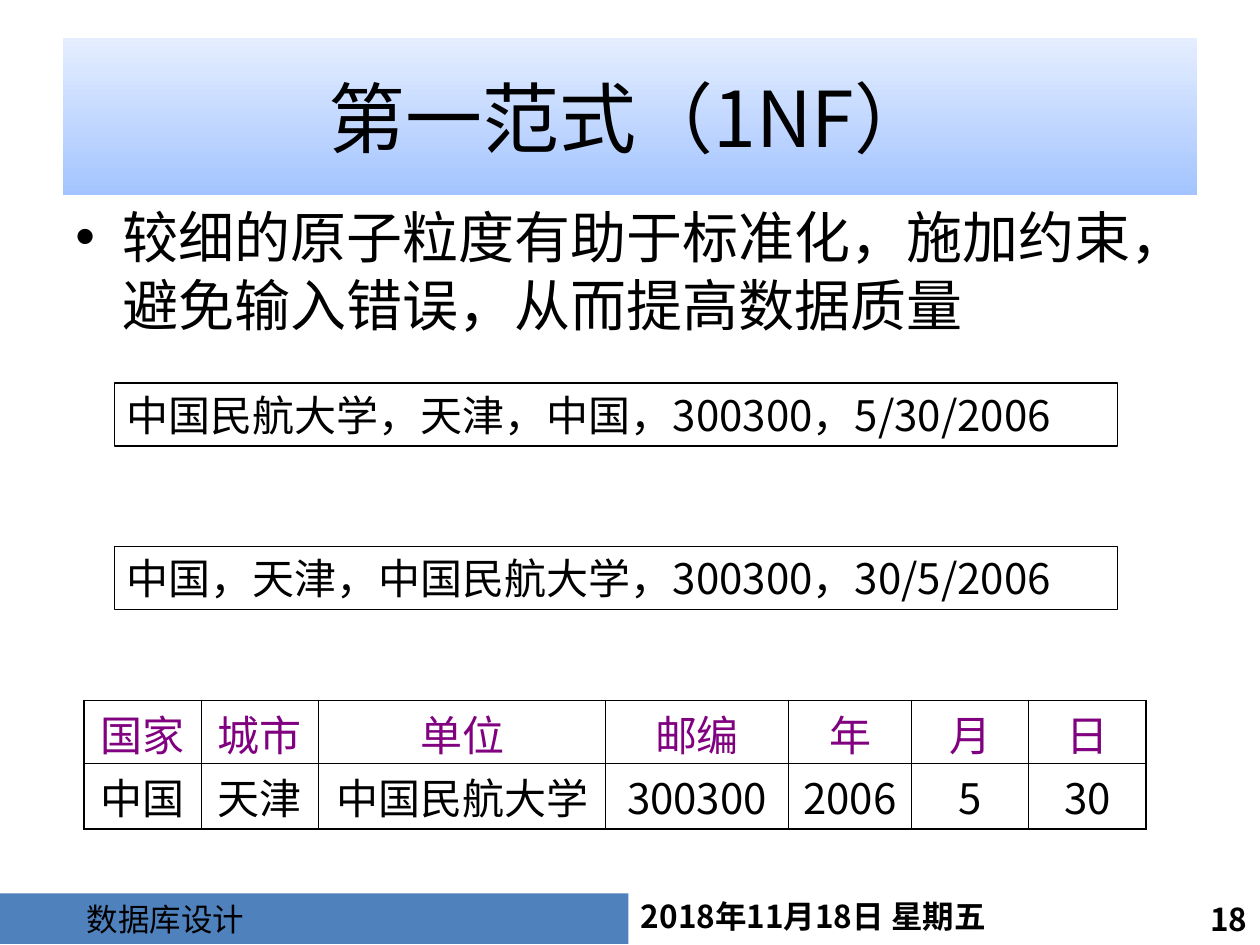
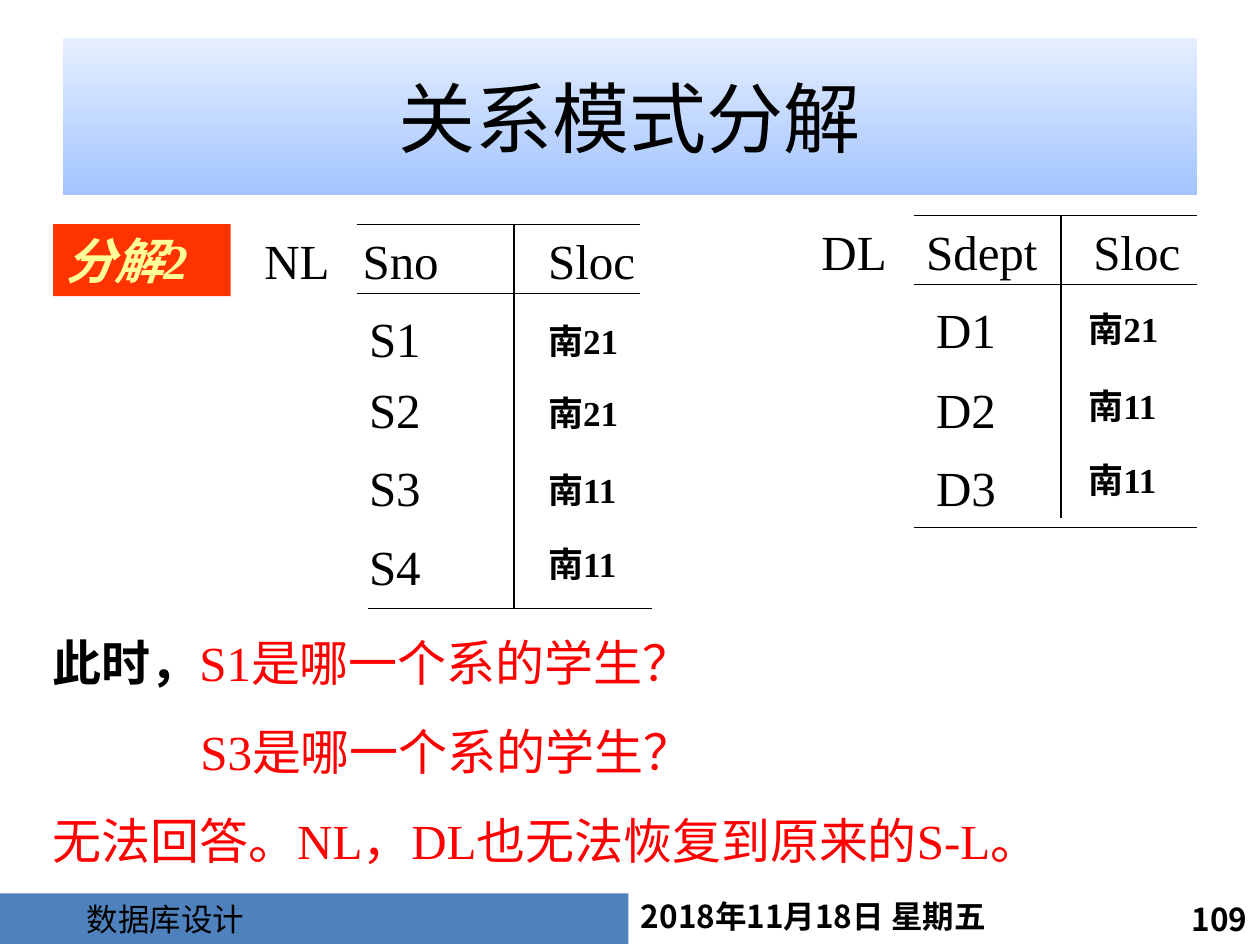
from lxml import etree
from pptx import Presentation
from pptx.dml.color import RGBColor
from pptx.enum.shapes import MSO_CONNECTOR, MSO_SHAPE
from pptx.enum.text import MSO_ANCHOR, PP_ALIGN
from pptx.oxml.ns import qn
from pptx.util import Cm, Pt

RECTANGLE = MSO_SHAPE.RECTANGLE
STRAIGHT = MSO_CONNECTOR.STRAIGHT
TOP, MIDDLE = MSO_ANCHOR.TOP, MSO_ANCHOR.MIDDLE
LEFT, CENTER, RIGHT = PP_ALIGN.LEFT, PP_ALIGN.CENTER, PP_ALIGN.RIGHT

SANS, SANS_JP = "Noto Sans CJK SC", "Noto Sans CJK JP"
SERIF, LATO = "Times New Roman", "Lato"
BLACK, WHITE, RED, PURPLE = "000000", "FFFFFF", "FF0000", "800080"
BAND_BLUE, TITLE_DARK, TITLE_LIGHT = "4F81BD", "A3C4FF", "E5EEFF"
LABEL_RED, LABEL_YELLOW = "FF3300", "FFFF99"
rgb = RGBColor.from_string


def add_box(page, left, top, width, height, fill=None, line=None):
    """Add a text box, or a rectangle if filled or outlined; return its frame."""
    area = Cm(left), Cm(top), Cm(width), Cm(height)
    if fill or line:
        box = page.shapes.add_shape(RECTANGLE, *area)
        box.shadow.inherit = False
        if fill:
            box.fill.solid()
            box.fill.fore_color.rgb = rgb(fill)
        else:
            box.fill.background()
        if line:
            box.line.color.rgb = rgb(line)
            box.line.width = Pt(0.75)
        else:
            box.line.fill.background()
    else:
        box = page.shapes.add_textbox(*area)
    frame = box.text_frame
    frame.word_wrap = True
    frame.vertical_anchor = TOP
    return frame


def write(para, text, size=28, font=SERIF, color=BLACK, bold=False,
          italic=False, align=LEFT, pitch=None):
    """Append a run to the paragraph; pitch is the line height in points."""
    para.alignment = align
    if pitch:
        para.line_spacing = Pt(pitch)
    span = para.add_run()
    span.text = text
    span.font.name = font
    span.font.size = Pt(size)
    span.font.bold = bold
    span.font.italic = italic
    span.font.color.rgb = rgb(color)


deck = Presentation()
deck.slide_width, deck.slide_height = Cm(25.4), Cm(19.05)

# Shared title band and footer
pages = []
for title_text, number in (("第一范式（1NF）", "18"), ("关系模式分解", "109")):
    page = deck.slides.add_slide(deck.slide_layouts[5])
    pages.append(page)

    title = page.shapes.title
    title.left, title.top, title.width, title.height = Cm(1.27), Cm(0.76), Cm(22.86), Cm(3.18)
    title.fill.gradient()
    title.fill.gradient_angle = 90
    for stop, color in zip(title.fill.gradient_stops, (TITLE_DARK, TITLE_LIGHT)):
        stop.color.rgb = rgb(color)
    title.text_frame.vertical_anchor = MIDDLE
    write(title.text_frame.paragraphs[0], title_text, size=44, font=SANS, align=CENTER)

    date = add_box(page, 12.67, 17.96, 9.04, 1.02)
    write(date.paragraphs[0], "2018年11月18日 星期五", size=18, font=SANS, bold=True)
    page_number = add_box(page, 22.1, 18.01, 3.3, 1.17)
    write(page_number.paragraphs[0], number, size=18, font=SANS, bold=True, align=RIGHT)
    course = add_box(page, 0, 18.01, 12.67, 1.02, fill=BAND_BLUE)
    course.margin_left = Cm(1.75)
    write(course.paragraphs[0], "数据库设计", size=18, font=SANS_JP)

normal_form_page, split_page = pages

# First normal form: bullet, two records, atomic table
para = add_box(normal_form_page, 1.27, 3.94, 22.86, 3).paragraphs[0]
properties = para._p.get_or_add_pPr()
properties.set("marL", str(Cm(0.95)))
properties.set("indent", str(-Cm(0.95)))
etree.SubElement(properties, qn("a:buFont"), typeface="Arial")
etree.SubElement(properties, qn("a:buChar"), char="•")
write(para, "较细的原子粒度有助于标准化，施加约束，避免输入错误，从而提高数据质量",
      size=32, pitch=38.8)

records = (
    (7.72, "中国民航大学，天津，中国，300300，5/30/2006"),
    (11.02, "中国，天津，中国民航大学，300300，30/5/2006"),
)
for top, record in records:
    frame = add_box(normal_form_page, 2.31, top, 20.22, 1.27, line=BLACK)
    write(frame.paragraphs[0], record, size=24, font=SANS_JP, pitch=28.8)

address_rows = (
    ("国家", "城市", "单位", "邮编", "年", "月", "日"),
    ("中国", "天津", "中国民航大学", "300300", "2006", "5", "30"),
)
column_widths = (2.36, 2.36, 5.79, 3.68, 2.49, 2.36, 2.36)
row_heights = (1.27, 1.32)
row_styles = ((LATO, PURPLE), (SANS_JP, BLACK))
last_row, last_column = len(row_heights) - 1, len(column_widths) - 1
table = normal_form_page.shapes.add_table(
    len(row_heights), len(column_widths), Cm(1.7), Cm(14.12),
    Cm(sum(column_widths)), Cm(sum(row_heights))).table
table.first_row = table.horz_banding = False
for column, width in zip(table.columns, column_widths):
    column.width = Cm(width)
for r, (values, height, (font, color)) in enumerate(zip(address_rows, row_heights, row_styles)):
    table.rows[r].height = Cm(height)
    for c, value in enumerate(values):
        cell = table.cell(r, c)
        cell.margin_left = cell.margin_right = cell.margin_bottom = 0
        cell.margin_top = Cm(0.25)
        write(cell.text_frame.paragraphs[0], value, size=24, font=font, color=color,
              align=CENTER, pitch=28.8)
        outer_sides = {"L": c == 0, "R": c == last_column, "T": r == 0, "B": r == last_row}
        for side, is_outer in outer_sides.items():
            border = etree.SubElement(cell._tc.get_or_add_tcPr(), qn(f"a:ln{side}"),
                                      w=str(Pt(1.08 if is_outer else 0.45)))
            border_fill = etree.SubElement(border, qn("a:solidFill"))
            etree.SubElement(border_fill, qn("a:srgbClr"), val=BLACK)
        cell.fill.background()

# Decomposition 2: label, questions and the two relations
label = add_box(split_page, 1.07, 4.52, 3.58, 1.45, fill=LABEL_RED)
write(label.paragraphs[0], "分解2", color=LABEL_YELLOW, bold=True, italic=True)

questions = add_box(split_page, 0.81, 12.62, 23.7, 5.05, fill=WHITE)
first = questions.paragraphs[0]
write(first, "此时，", bold=True, pitch=33.6)
write(first, "S1是哪一个系的学生？", color=RED, pitch=33.6)
for text, indent in (("S3是哪一个系的学生？", 2.98), ("无法回答。NL，DL也无法恢复到原来的S-L。", 0)):
    para = questions.add_paragraph()
    para.space_before = Pt(17.5)
    para._p.get_or_add_pPr().set("marL", str(Cm(indent)))
    write(para, text, color=RED, pitch=33.6)

headings = (
    ("NL", 5.08, 4.52), ("Sno", 7.06, 4.52), ("Sloc", 10.8, 4.52),
    ("DL", 16.31, 4.34), ("Sdept", 18.42, 4.34), ("Sloc", 21.79, 4.34),
)
keys = (
    ("S1", 7.19, 6.1), ("S2", 7.19, 7.52), ("S3", 7.19, 9.09), ("S4", 7.19, 10.69),
    ("D1", 18.62, 5.92), ("D2", 18.62, 7.52), ("D3", 18.62, 9.09),
)
locations = (
    ("南21", 10.8, 6.32), ("南21", 10.8, 7.77), ("南11", 10.8, 9.32), ("南11", 10.8, 10.82),
    ("南21", 21.69, 6.07), ("南11", 21.69, 7.62), ("南11", 21.69, 9.12),
)
for text, left, top in headings + keys:
    write(add_box(split_page, left, top, 3, 1.45).paragraphs[0], text)
for text, left, top in locations:
    write(add_box(split_page, left, top, 2.5, 1.12).paragraphs[0], text, size=20, bold=True)

rule_length = 5.72
rules = [(left, top, left + rule_length, top) for left, top in (
    (7.19, 4.52), (7.19, 5.92), (7.42, 12.27), (18.42, 4.34), (18.42, 5.74), (18.42, 10.64))]
dividers = [(10.36, 4.52, 10.36, 12.27), (21.39, 4.34, 21.39, 10.44)]
for ends in rules + dividers:
    line = split_page.shapes.add_connector(STRAIGHT, *(Cm(end) for end in ends))
    line.line.color.rgb = rgb(BLACK)
    line.line.width = Pt(0.75)
    etree.SubElement(line._element.spPr, qn("a:effectLst"))

deck.save("out.pptx")
